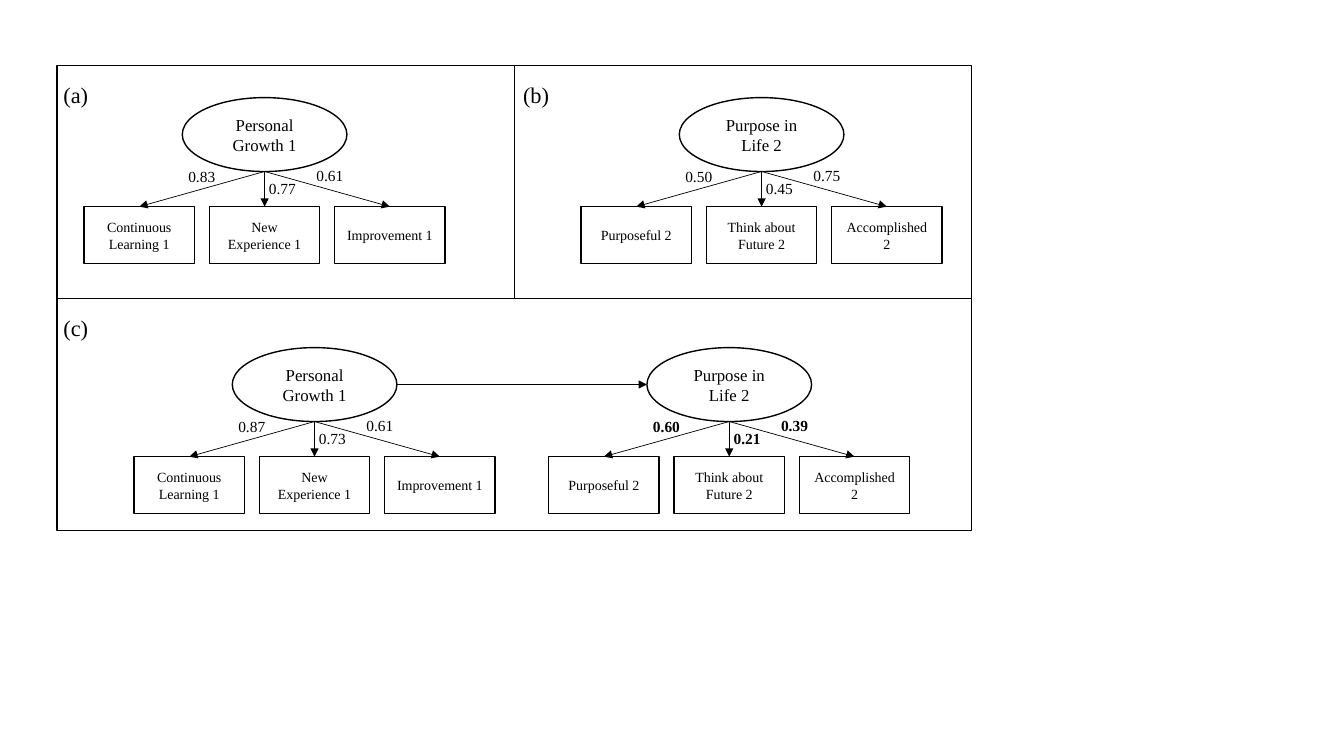
from dataclasses import dataclass

from lxml.etree import SubElement
from pptx import Presentation
from pptx.dml.color import RGBColor
from pptx.enum.shapes import MSO_CONNECTOR as Connector, MSO_SHAPE as Preset
from pptx.enum.text import MSO_ANCHOR as Anchor, MSO_AUTO_SIZE as AutoSize, PP_ALIGN as Align
from pptx.oxml.ns import qn
from pptx.util import Pt


@dataclass(frozen=True)
class Theme:
    """Colours, font and sizes of the slide."""
    ink: RGBColor = RGBColor(0, 0, 0)
    paper: RGBColor = RGBColor(255, 255, 255)
    font: str = "Times New Roman"
    panel_size: int = 16
    factor_size: int = 12
    loading_size: int = 11
    item_size: int = 10
    shape_line: float = 1
    panel_line: float = 0.75
    thin_line: float = 0.5


theme = Theme()


def add_text(parent, text, box, size, preset=None, bold=None, inset=None):
    """Add text in an outlined preset shape, or in a free box that fits it."""
    lengths = [Pt(value) for value in box]
    if preset is None:
        shape = parent.shapes.add_textbox(*lengths)
        shape.text_frame.word_wrap = False
        shape.text_frame.auto_size = AutoSize.SHAPE_TO_FIT_TEXT
    else:
        shape = parent.shapes.add_shape(preset, *lengths)
        shape.shadow.inherit = False
        shape.fill.solid()
        shape.fill.fore_color.rgb = theme.paper
        shape.line.color.rgb = theme.ink
        shape.line.width = Pt(theme.shape_line)
        shape.text_frame.word_wrap = True
        shape.text_frame.vertical_anchor = Anchor.MIDDLE
    frame = shape.text_frame
    if inset is not None:
        frame.margin_left = frame.margin_right = Pt(inset)
        frame.margin_top = frame.margin_bottom = Pt(inset)
    paragraph = frame.paragraphs[0]
    paragraph.alignment = Align.CENTER if preset else Align.LEFT
    run = paragraph.add_run()
    run.text = text
    run.font.name, run.font.size, run.font.bold = theme.font, Pt(size), bold
    run.font.color.rgb = theme.ink


def add_line(parent, start, end, arrow=True):
    """Draw a thin straight line, with an arrowhead at its end if wanted."""
    points = [Pt(value) for value in (*start, *end)]
    line = parent.shapes.add_connector(Connector.STRAIGHT, *points)
    line.line.color.rgb = theme.ink
    line.line.width = Pt(theme.thin_line)
    if arrow:
        SubElement(line.line._get_or_add_ln(), qn("a:tailEnd"), type="triangle")
    SubElement(line._element.spPr, qn("a:effectLst"))


presentation = Presentation()
presentation.slide_width, presentation.slide_height = Pt(960), Pt(540)
slide = presentation.slides.add_slide(presentation.slide_layouts[6])

# Factor models: an ellipse above three items, each with its loading
growth = ("Personal Growth 1", ["Continuous Learning 1", "New Experience 1", "Improvement 1"])
purpose = ("Purpose in Life 2", ["Purposeful 2", "Think about Future 2", "Accomplished 2"])
upper_top, lower_top = 69.7, 248.3
growth_center, purpose_center = 224.7, 520.9
factor_width, factor_height = 117.6, 52.8
item_width, item_height, item_pitch, item_offset = 78.8, 40.6, 89.5, 77.9
loading_offsets = [(-61.6, 46.1), (-4, 54.8), (29.9, 45.5)]

models = [
    (growth, 189, upper_top, ["0.83", "0.77", "0.61"], None),
    (purpose, 544, upper_top, ["0.50", "0.45", "0.75"], None),
    (growth, growth_center, lower_top, ["0.87", "0.73", "0.61"], None),
    (purpose, purpose_center, lower_top, ["0.60", "0.21", "0.39"], True),
]
for (factor, items), center, top, loadings, bold in models:
    model = slide.shapes.add_group_shape()
    add_text(model, factor, (center - factor_width / 2, top, factor_width, factor_height),
             theme.factor_size, preset=Preset.OVAL)
    item_top = top + item_offset
    for column, (item, loading, offset) in enumerate(zip(items, loadings, loading_offsets)):
        item_center = center + (column - 1) * item_pitch
        add_text(model, item, (item_center - item_width / 2, item_top, item_width, item_height),
                 theme.item_size, preset=Preset.RECTANGLE)
        add_line(model, (center, top + factor_height), (item_center, item_top))
        add_text(model, loading, (center + offset[0], top + offset[1], 35.4, 20.6),
                 theme.loading_size, bold=bold)

# Path between the two factors of the lower panel
path_y = lower_top + factor_height / 2
add_line(slide, (growth_center + factor_width / 2, path_y),
         (purpose_center - factor_width / 2, path_y))

# Two stacked panels; the upper one is split in half
panel_left, panel_top, panel_width, panel_height = 40.7, 47, 653.2, 166
for row in range(2):
    panel = slide.shapes.add_shape(Preset.RECTANGLE, Pt(panel_left),
                                   Pt(panel_top + row * panel_height),
                                   Pt(panel_width), Pt(panel_height))
    panel.shadow.inherit = False
    panel.fill.background()
    panel.line.color.rgb = theme.ink
    panel.line.width = Pt(theme.panel_line)
middle = panel_left + panel_width / 2
add_line(slide, (middle, panel_top), (middle, panel_top + panel_height), arrow=False)

for label, left, row in [("(a)", 45.3, 0), ("(b)", 373.6, 0), ("(c)", 45.3, 1)]:
    add_text(slide, label, (left, 58.2 + row * panel_height, 21.6, 19.4),
             theme.panel_size, inset=0)

presentation.save("out.pptx")
